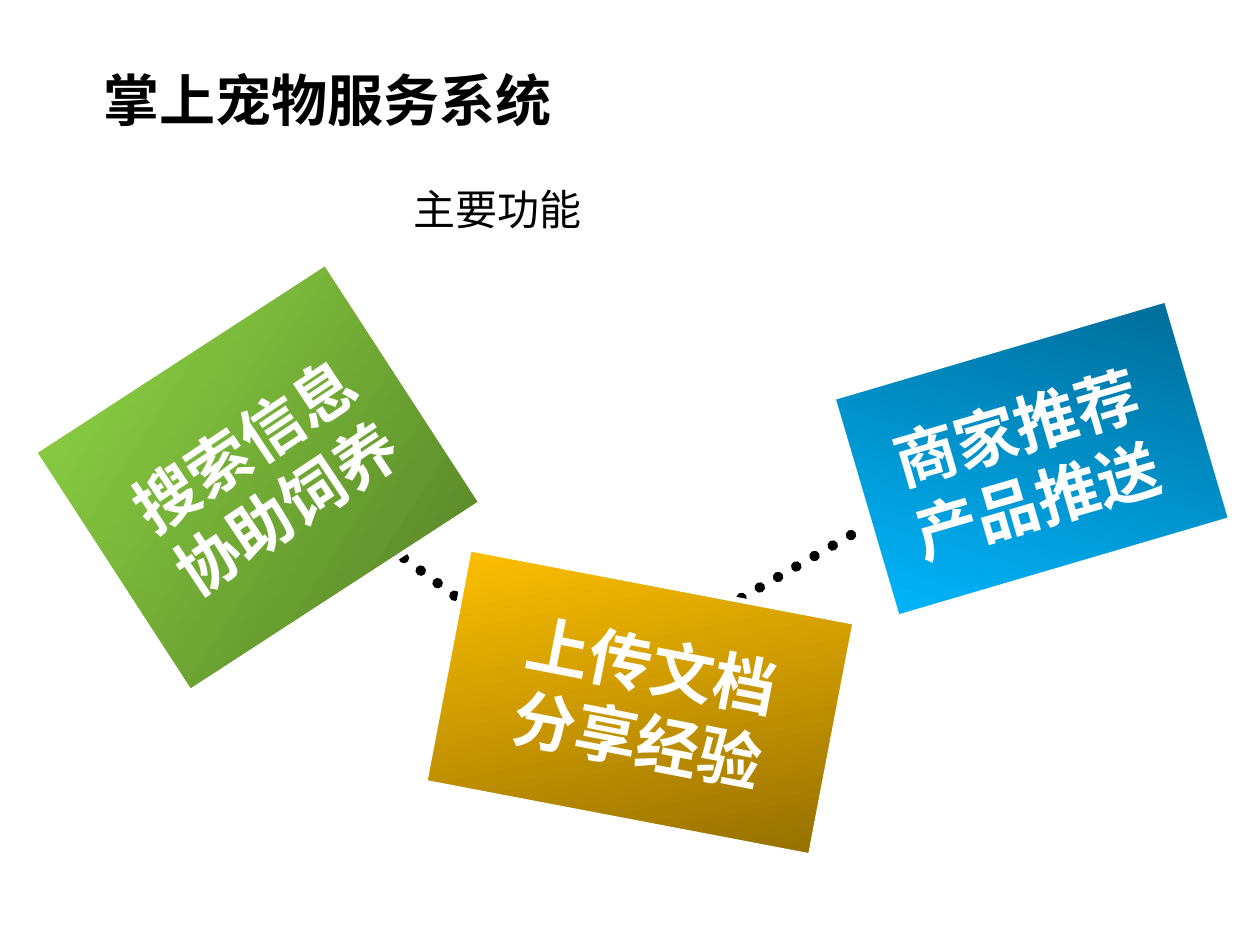
from pptx import Presentation
from pptx.dml.color import RGBColor
from pptx.enum import dml, shapes, text
from pptx.oxml.ns import qn
from pptx.util import Cm, Pt
from lxml import etree

COLORS = {
    "black": "000000", "white": "FFFFFF",
    "green_dark": "537E25", "green_light": "92DA46",
    "gold_dark": "946F00", "gold_light": "FFC000",
    "blue_dark": "006A96", "blue_light": "00B8FF",
}
CJK = "Noto Sans CJK SC"


def rgb(name):
    return RGBColor.from_string(COLORS[name])


def add_text(box, lines, size, font, color, bold, wrap, align, rotation=0):
    tb = s.shapes.add_textbox(*[Cm(v) for v in box])
    tb.rotation = rotation
    tf = tb.text_frame
    tf.word_wrap = wrap
    tf.auto_size = text.MSO_AUTO_SIZE.SHAPE_TO_FIT_TEXT
    tf.text = lines
    for p in tf.paragraphs:
        p.alignment = align
        for r in p.runs:
            r.font.size = Pt(size)
            r.font.name = font
            r.font.bold = bold
            r.font.color.rgb = rgb(color)
            ea = etree.SubElement(r.font._element, qn("a:ea"))
            ea.set("typeface", font)


prs = Presentation()
prs.slide_width, prs.slide_height = Cm(25.4), Cm(19.05)
s = prs.slides.add_slide(prs.slide_layouts[6])

links = [(13.11, 13.11, 17.27, 10.72), (6.1, 9.73, 10.87, 13.28)]
for ends in links:
    link = s.shapes.add_connector(shapes.MSO_CONNECTOR.STRAIGHT, *[Cm(v) for v in ends])
    link.line.color.rgb = rgb("black")
    link.line.width = Pt(6)
    link.line.dash_style = dml.MSO_LINE.ROUND_DOT
    link.line._ln.set("cap", "rnd")
    etree.SubElement(link._element.spPr, qn("a:effectLst"))

cards = [
    ("搜索信息\n协助饲养", "green", (2.31, 6.12, 5.77, 7.01), 57, 213,
     (1.75, 7.95, 7.19, 3.3), 326.3),
    ("上传文档\n分享经验", "gold", (8.94, 11.76, 7.92, 4.8), 10.8, 259,
     (9.5, 12.5, 7.01, 3.3), 11.1),
    ("商家推荐\n产品推送", "blue", (18.49, 5.74, 4.62, 7.01), 73.6, 106,
     (17.09, 7.7, 7.21, 3.3), 343.7),
]
for label, hue, box, turn, angle, label_box, label_turn in cards:
    card = s.shapes.add_shape(shapes.MSO_SHAPE.RECTANGLE, *[Cm(v) for v in box])
    card.shadow.inherit = False
    card.rotation = turn
    card.line.color.rgb = rgb("white")
    card.line.width = Pt(3)
    card.fill.gradient()
    card.fill.gradient_angle = 360 - angle
    for stop, shade in zip(card.fill.gradient_stops, ("dark", "light")):
        stop.color.rgb = rgb(f"{hue}_{shade}")
    card._element.spPr.find(qn("a:gradFill")).set("rotWithShape", "0")
    add_text(label_box, label, 36, CJK, "white", True, True,
             text.PP_ALIGN.CENTER, label_turn)

add_text((8.08, 3.58, 3.89, 1.27), "主要功能", 24, "Arial", "black", False, False,
         text.PP_ALIGN.LEFT)
add_text((1.83, 1.19, 9.55, 1.63), "掌上宠物服务系统", 32, CJK, "black", True, False,
         text.PP_ALIGN.LEFT)

prs.save("out.pptx")
